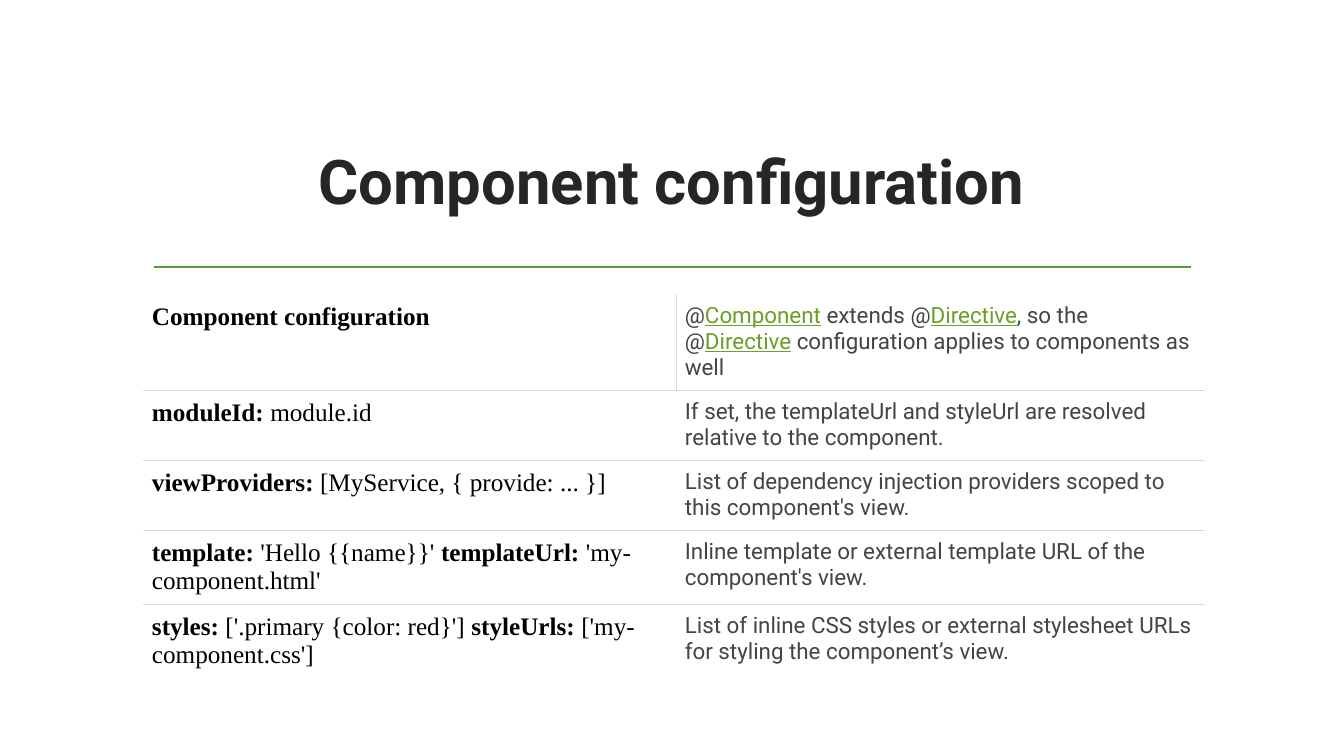
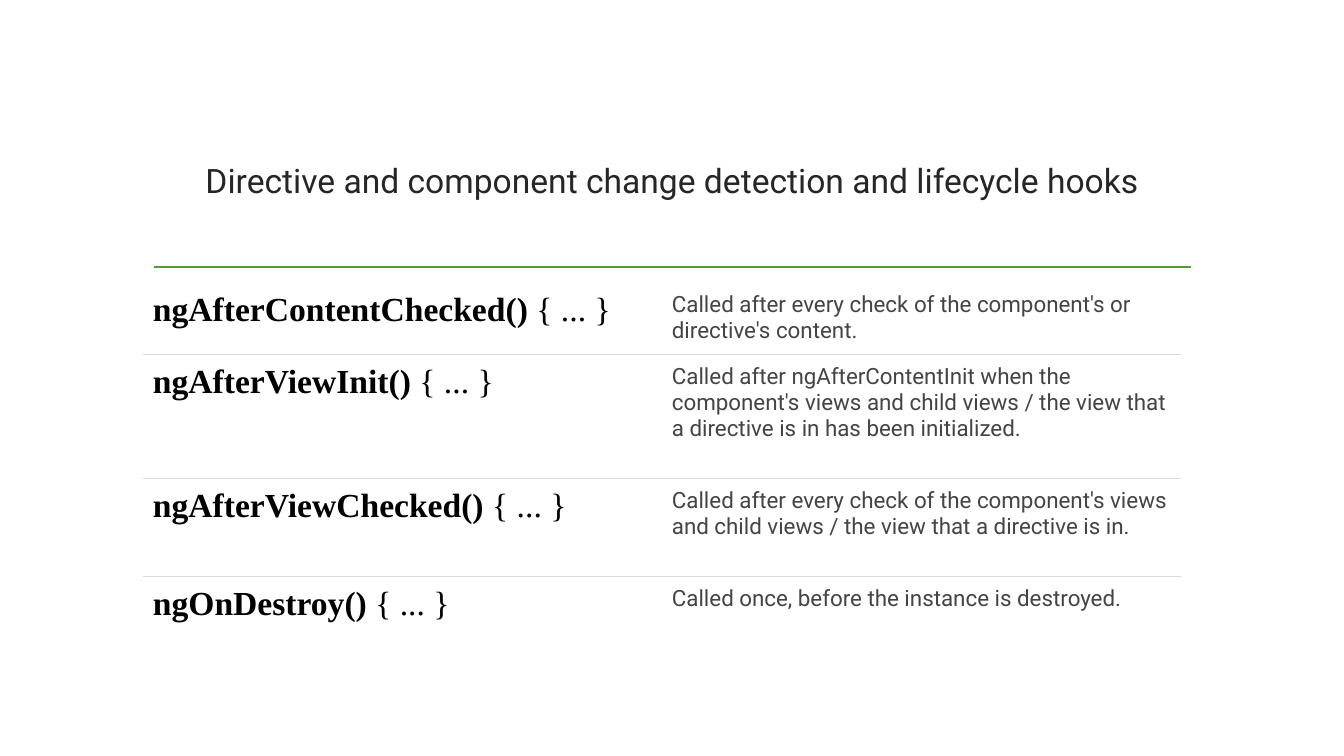
from itertools import cycle

from lxml import etree
from pptx import Presentation
from pptx import util as u
from pptx.dml.color import RGBColor
from pptx.enum import shapes, text
from pptx.oxml.ns import qn

PX = 914400 / 100.8


def px(n):
    return u.Emu(round(n * PX))


def rgb(code):
    return RGBColor.from_string(code)


class Deck:
    rule, edge, paper = "549E39", "DBDBDB", "FFFFFF"
    head = dict(name="Roboto", color="262626")
    code = dict(name="Times New Roman", color="000000")
    note = dict(name="Roboto", size=16, color="444444", bold=False)
    link = dict(note, color="6B9F25", underline=True)

    def __init__(self):
        self.prs = Presentation()
        self.prs.slide_width, self.prs.slide_height = px(1344), px(756)
        self.base = self.prs.slide_layouts[5]
        self.slide = None

    def style(self, font, form):
        for key, val in form.items():
            if key == "color":
                font.color.rgb = rgb(val)
            else:
                setattr(font, key, u.Pt(val) if key == "size" else val)

    def page(self, title, size, bold):
        first = self.slide is None
        self.slide = self.prs.slides.add_slide(self.base)
        if first:
            self.line(154, 267, 1191)
        box = self.slide.shapes.title
        spot = dict(left=143, top=108, width=1058, height=144)
        for key, val in spot.items():
            setattr(box, key, px(val))
        frame = box.text_frame
        frame.text = title
        frame.word_wrap = True
        frame.auto_size = text.MSO_AUTO_SIZE.NONE
        frame.vertical_anchor = text.MSO_ANCHOR.MIDDLE
        para = frame.paragraphs[0]
        para.alignment = text.PP_ALIGN.CENTER
        self.style(para.runs[0].font, dict(self.head, size=size, bold=bold))

    def line(self, left, top, right):
        line = self.slide.shapes.add_connector(
            shapes.MSO_CONNECTOR.STRAIGHT, px(left), px(top), px(right), px(top))
        line.line.color.rgb = rgb(self.rule)
        line.line.width = u.Pt(1.25)
        etree.SubElement(line.element.spPr, qn("a:effectLst"))
        self.base.shapes.element.append(line.element)

    def border(self, cell, side, on):
        line = etree.SubElement(cell, qn("a:ln" + side), w=str(u.Pt(0.5)))
        if on:
            fill = etree.SubElement(line, qn("a:solidFill"))
            etree.SubElement(fill, qn("a:srgbClr"), val=self.edge)
        else:
            etree.SubElement(line, qn("a:noFill"))

    def label(self, cell, parts, forms):
        para = cell.text_frame.paragraphs[0]
        for part, form in zip(parts.split("|"), cycle(forms)):
            run = para.add_run()
            run.text = part
            self.style(run.font, form)

    def table(self, top, cols, highs, rows, size, pad, split=False):
        frame = self.slide.shapes.add_table(
            len(rows), 2, px(143), px(top), px(sum(cols)), px(sum(highs)))
        grid = frame.table
        grid.first_row = grid.horz_banding = False
        for col, wide in zip(grid.columns, cols):
            col.width = px(wide)
        for row, high in zip(grid.rows, highs):
            row.height = px(high)
        code = [dict(self.code, size=size, bold=bold) for bold in (True, False)]
        forms = code, (self.note, self.link)
        nodes = list(frame.element.iter(qn("a:tc")))
        for i, (cell, node) in enumerate(zip(grid.iter_cells(), nodes)):
            r, c = divmod(i, 2)
            for side in ("left", "right", "top", "bottom"):
                setattr(cell, "margin_" + side, px(pad))
            seam = split and r == 0
            edges = dict(L=seam and c == 1, R=seam and c == 0,
                         T=r > 0, B=r < len(rows) - 1)
            for side, on in edges.items():
                self.border(node.get_or_add_tcPr(), side, on)
            cell.fill.solid()
            cell.fill.fore_color.rgb = rgb(self.paper)
            self.label(cell, rows[r][c], forms[c])


CONFIG = [
    ("Component configuration",
     "@|Component| extends @|Directive|, so the @|Directive"
     "| configuration applies to components as well"),
    ("moduleId:| module.id",
     "If set, the templateUrl and styleUrl are resolved relative to the component."),
    ("viewProviders:| [MyService, { provide: ... }]",
     "List of dependency injection providers scoped to this component's view."),
    ("template:| 'Hello {{name}}' |templateUrl:| 'my-component.html'",
     "Inline template or external template URL of the component's view."),
    ("styles:| ['.primary {color: red}'] |styleUrls:| ['my-component.css']",
     "List of inline CSS styles or external stylesheet URLs "
     "for styling the component’s view."),
]
HOOKS = [
    ("ngAfterContentChecked()| { ... }",
     "Called after every check of the component's or directive's content."),
    ("ngAfterViewInit()| { ... }",
     "Called after ngAfterContentInit when the component's views and child views "
     "/ the view that a directive is in has been initialized."),
    ("ngAfterViewChecked()| { ... }",
     "Called after every check of the component's views and child views "
     "/ the view that a directive is in."),
    ("ngOnDestroy()| { ... }",
     "Called once, before the instance is destroyed."),
]


def main():
    deck = Deck()
    deck.page("Component configuration", 44, True)
    deck.table(294, (533, 529), (96, 69, 69, 73, 87), CONFIG, 18, 9, split=True)
    deck.page("Directive and component change detection and lifecycle hooks", 24, False)
    deck.table(282, (519, 519), (72, 124, 98, 72), HOOKS, 24, 10)
    deck.prs.save("out.pptx")


if __name__ == "__main__":
    main()
